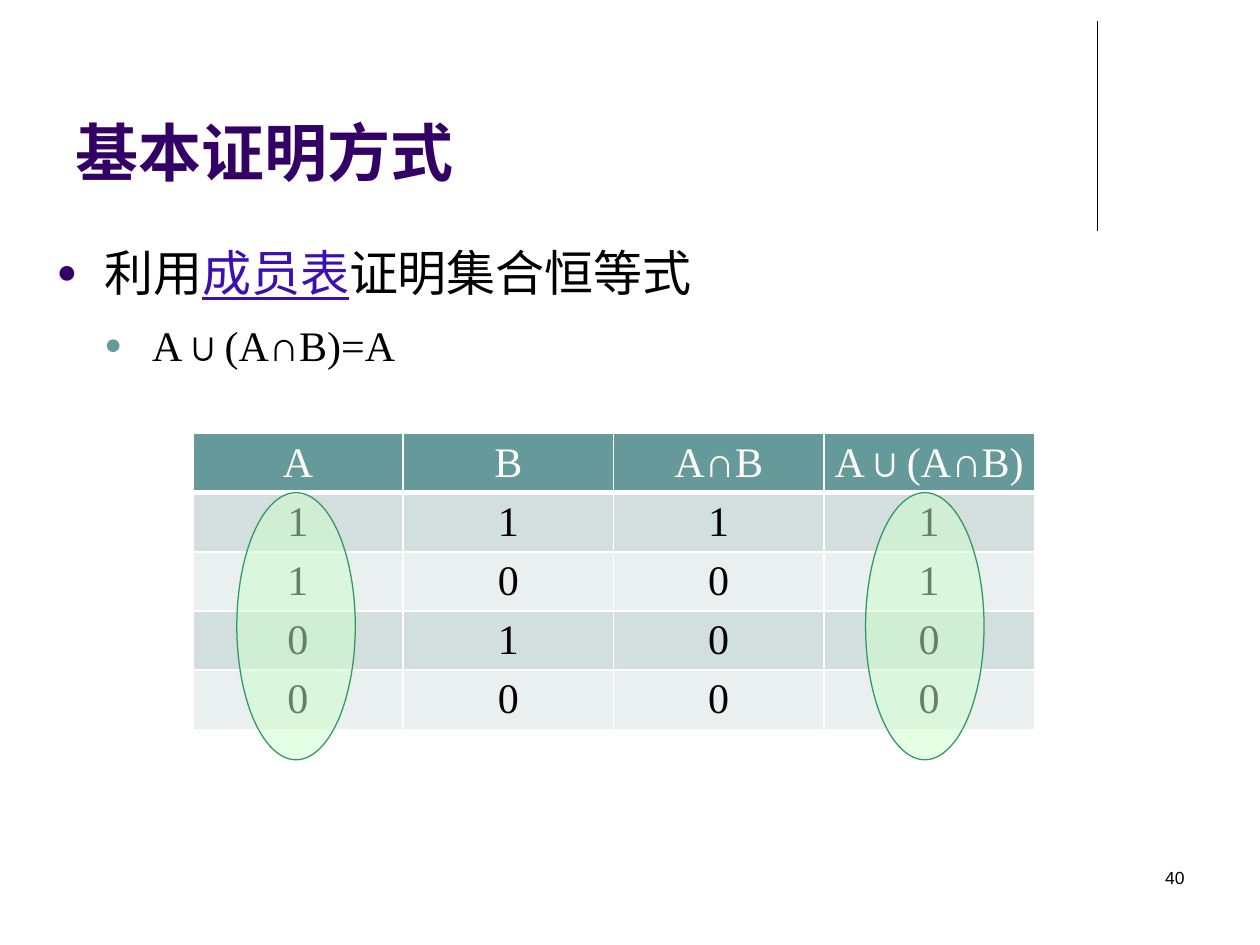
"""Build a slide that proves a set identity with a membership table."""
from lxml import etree
from pptx import Presentation
from pptx.dml.color import RGBColor
from pptx.enum.shapes import MSO_CONNECTOR, MSO_SHAPE
from pptx.enum.text import MSO_ANCHOR, MSO_AUTO_SIZE, PP_ALIGN
from pptx.oxml import parse_xml
from pptx.oxml.ns import nsdecls, qn
from pptx.util import Inches, Pt

LINE, OVAL = MSO_CONNECTOR.STRAIGHT, MSO_SHAPE.OVAL
LOW, HIGH, NONE = MSO_ANCHOR.BOTTOM, MSO_ANCHOR.TOP, MSO_AUTO_SIZE.NONE
LEFT, MID, RIGHT, FULL = PP_ALIGN.LEFT, PP_ALIGN.CENTER, PP_ALIGN.RIGHT, PP_ALIGN.JUSTIFY
SANS, SERIF, HAN = "Arial", "Times New Roman", "Noto Sans CJK SC"
BLACK, WHITE, PLUM, TEAL = "000000", "FFFFFF", "330066", "669999"
BANDS = ("D3DEDE", "EAEFEF")


def color(code):
    return RGBColor.from_string(code)


class Deck:
    """Holds the style and the current slide."""

    def __init__(self):
        self.prs = Presentation()
        self.prs.slide_width, self.prs.slide_height = Inches(10), Inches(7.5)
        self.slide = self.prs.slides.add_slide(self.prs.slide_layouts[5])
        self.shapes = self.slide.shapes

    def run(self, par, text, size, tint=BLACK, face=SERIF, **look):
        run = par.add_run()
        run.text = text
        for key, val in {"size": Pt(size), "name": face, **look}.items():
            setattr(run.font, key, val)
        run.font.color.rgb = color(tint)
        if any("一" <= sign <= "龥" for sign in text):
            etree.SubElement(run.font._element, qn("a:ea"), typeface=HAN)

    def frame(self, shape, anchor=HIGH):
        look = {"word_wrap": True, "auto_size": NONE, "vertical_anchor": anchor}
        for key, val in look.items():
            setattr(shape.text_frame, key, val)
        return shape.text_frame

    def title(self, text, box):
        shape = self.shapes.title
        for key, val in zip(("left", "top", "width", "height"), box):
            setattr(shape, key, Inches(val))
        par = self.frame(shape, LOW).paragraphs[0]
        par.alignment = LEFT
        self.run(par, text, 36, PLUM, SANS, bold=True)

    def text(self, box):
        return self.frame(self.shapes.add_textbox(*map(Inches, box)))

    def bullet(self, par, level, size, tint, runs):
        look = {"level": level, "alignment": FULL, "line_spacing": 1.2,
                "space_before": Pt(size * 0.2)}
        for key, val in look.items():
            setattr(par, key, val)
        props = par._p.get_or_add_pPr()
        props.set("marL", str(Inches(0.38 * (level + 1))))
        props.set("indent", str(Inches(-0.38)))
        mark = etree.SubElement(props, qn("a:buClr"))
        etree.SubElement(mark, qn("a:srgbClr"), val=tint)
        etree.SubElement(props, qn("a:buSzPct"), val="70000")
        etree.SubElement(props, qn("a:buFont"), typeface=SERIF)
        etree.SubElement(props, qn("a:buChar"), char="●")
        for text, look in runs:
            self.run(par, text, size, **look)

    def line(self, *ends):
        line = self.shapes.add_connector(LINE, *map(Inches, ends))
        line.line.color.rgb, line.line.width = color(BLACK), Pt(0.75)
        etree.SubElement(line._element.spPr, qn("a:effectLst"))

    def cell(self, cell, text, fill, tint, edges):
        cell.margin_left = cell.margin_right = Inches(0.04)
        cell.fill.solid()
        cell.fill.fore_color.rgb = color(fill)
        par = cell.text_frame.paragraphs[0]
        par.alignment = MID
        self.run(par, text, 24, tint)
        for spot, (side, width) in enumerate(edges.items()):
            edge = parse_xml(
                f'<a:ln{side} {nsdecls("a")} w="{Pt(width)}"><a:solidFill>'
                f'<a:srgbClr val="{WHITE}"/></a:solidFill></a:ln{side}>')
            cell._tc.get_or_add_tcPr().insert(spot, edge)

    def table(self, rows, left, top, wide, high):
        count = len(rows[0])
        grid = self.shapes.add_table(len(rows), count, *map(
            Inches, (left, top, wide * count, high * len(rows)))).table
        for col in grid.columns:
            col.width = Inches(wide)
        for i, row in enumerate(rows):
            fill, tint = (BANDS[(i - 1) % 2], BLACK) if i else (TEAL, WHITE)
            edges = {"L": 1, "R": 1, "T": 3 if i == 1 else 1, "B": 1 if i else 3}
            for j, text in enumerate(row):
                self.cell(grid.cell(i, j), text, fill, tint, edges)

    def oval(self, *box):
        oval = self.shapes.add_shape(OVAL, *map(Inches, box))
        oval.shadow.inherit = False
        oval.fill.solid()
        oval.fill.fore_color.rgb = color("CCFFCC")
        tone = oval._element.spPr.find(qn("a:solidFill"))[0]
        etree.SubElement(tone, qn("a:alpha"), val="50000")
        oval.line.color.rgb, oval.line.width = color("339966"), Pt(0.75)


def main():
    deck = Deck()
    deck.line(8.71, 0.17, 8.71, 1.83)
    deck.title("基本证明方式", (0.5, 0.13, 8.25, 1.42))
    body = deck.text((0.35, 1.78, 8.75, 1.26))
    term = {"tint": "3D0EB2", "face": HAN, "underline": True}
    deck.bullet(body.paragraphs[0], 0, 28, PLUM, [
        ("利用", {}), ("成员表", term), ("证明集合恒等式", {})])
    deck.bullet(body.add_paragraph(), 1, 24, TEAL, [("A∪(A∩B)=A", {})])
    rows = [("A", "B", "A∩B", "A∪(A∩B)"), "1111", "1001", "0100", "0000"]
    deck.table(rows, 1.53, 3.44, 1.67, 0.47)
    for left in (1.88, 6.87):
        deck.oval(left, 3.91, 0.94, 2.12)
    par = deck.text((7.17, 6.83, 2.33, 0.5)).paragraphs[0]
    par.alignment = RIGHT
    deck.run(par, "40", 10, face=SANS)
    deck.prs.save("out.pptx")


if __name__ == "__main__":
    main()
